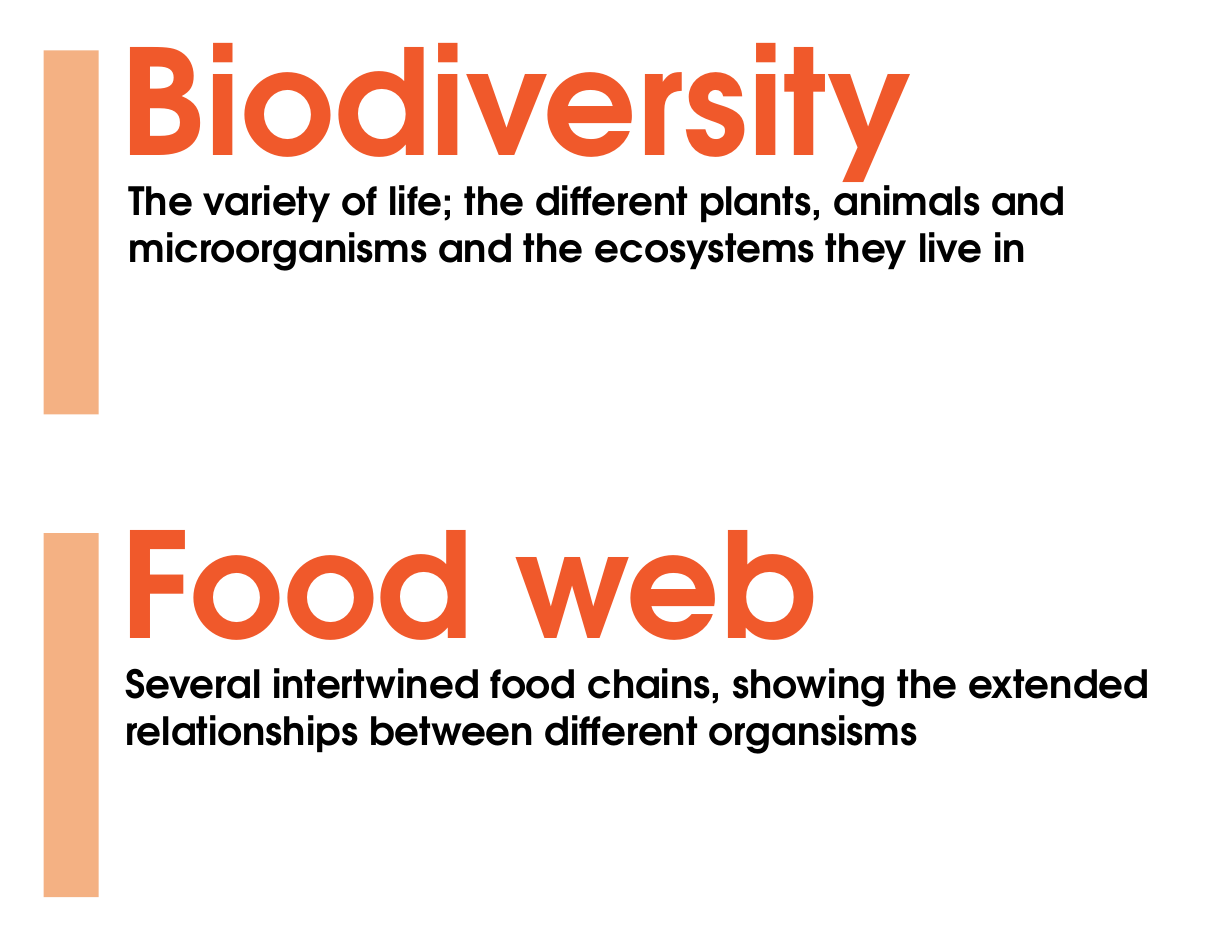
from pptx import Presentation
from pptx.dml.color import RGBColor
from pptx.enum.shapes import MSO_SHAPE
from pptx.enum.text import MSO_ANCHOR, MSO_AUTO_SIZE, PP_ALIGN
from pptx.util import Inches, Pt

RECT = MSO_SHAPE.RECTANGLE
TOP, MIDDLE = MSO_ANCHOR.TOP, MSO_ANCHOR.MIDDLE
NO_FIT = MSO_AUTO_SIZE.NONE
LEFT = PP_ALIGN.LEFT

COLS, ROWS = 110, 85  # grid cells across and down the slide
PITCH = 43.1          # rows from one card to the next

# Term, meaning, left column of the meaning
CARDS = [
    ("Biodiversity",
     "The variety of life; the different plants, animals and "
     "microorganisms and the ecosystems they live in", 10.5),
    ("Food web",
     "Several intertwined food chains, showing the extended "
     "relationships between different organsisms", 10.2),
]


def color(code):
    return RGBColor.from_string(code)


class Deck:
    font = "TeX Gyre Adventor"
    term = {"size": Pt(94), "color": "F0592B", "anchor": MIDDLE}
    body = {"size": Pt(25), "color": "000000", "anchor": TOP}
    bar_fill = "F4B183"

    def __init__(self):
        self.prs = Presentation()
        self.prs.slide_width = Inches(11)
        self.prs.slide_height = Inches(8.5)
        self.slide = self.prs.slides.add_slide(self.prs.slide_layouts[5])

    def place(self, col, row, wide, high):
        across = self.prs.slide_width / COLS
        down = self.prs.slide_height / ROWS
        return [round(n * unit) for n, unit in
                ((col, across), (row, down), (wide, across), (high, down))]

    def fill_text(self, shape, text, style):
        frame = shape.text_frame
        frame.text = text
        settings = {"word_wrap": True, "auto_size": NO_FIT,
                    "vertical_anchor": style["anchor"]}
        for key, value in settings.items():
            setattr(frame, key, value)
        line = frame.paragraphs[0]
        line.alignment = LEFT
        font = line.runs[0].font
        for key, value in {"name": self.font, "size": style["size"],
                           "bold": True}.items():
            setattr(font, key, value)
        font.color.rgb = color(style["color"])

    def title(self, text, *cells):
        shape = self.slide.shapes.title
        box = zip(("left", "top", "width", "height"), self.place(*cells))
        for key, value in box:
            setattr(shape, key, value)
        self.fill_text(shape, text, self.term)

    def text(self, text, style, *cells):
        shape = self.slide.shapes.add_textbox(*self.place(*cells))
        self.fill_text(shape, text, style)

    def bar(self, *cells):
        shape = self.slide.shapes.add_shape(RECT, *self.place(*cells))
        shape.shadow.inherit = False
        shape.fill.solid()
        shape.fill.fore_color.rgb = color(self.bar_fill)
        shape.line.fill.background()


def main():
    deck = Deck()
    for i, (term, meaning, col) in enumerate(CARDS):
        row = i * PITCH
        # Term: the first one is the slide title
        cells = (9.8, row + 0.2, 95.9, 17)
        if i == 0:
            deck.title(term, *cells)
        else:
            deck.text(term, deck.term, *cells)
        # Meaning and side bar
        deck.text(meaning, deck.body, col, row + 15.3, 94.5, 21.8)
        deck.bar(3.9, row + 4.5, 4.9, 32.5)
    deck.prs.save("out.pptx")


if __name__ == "__main__":
    main()
